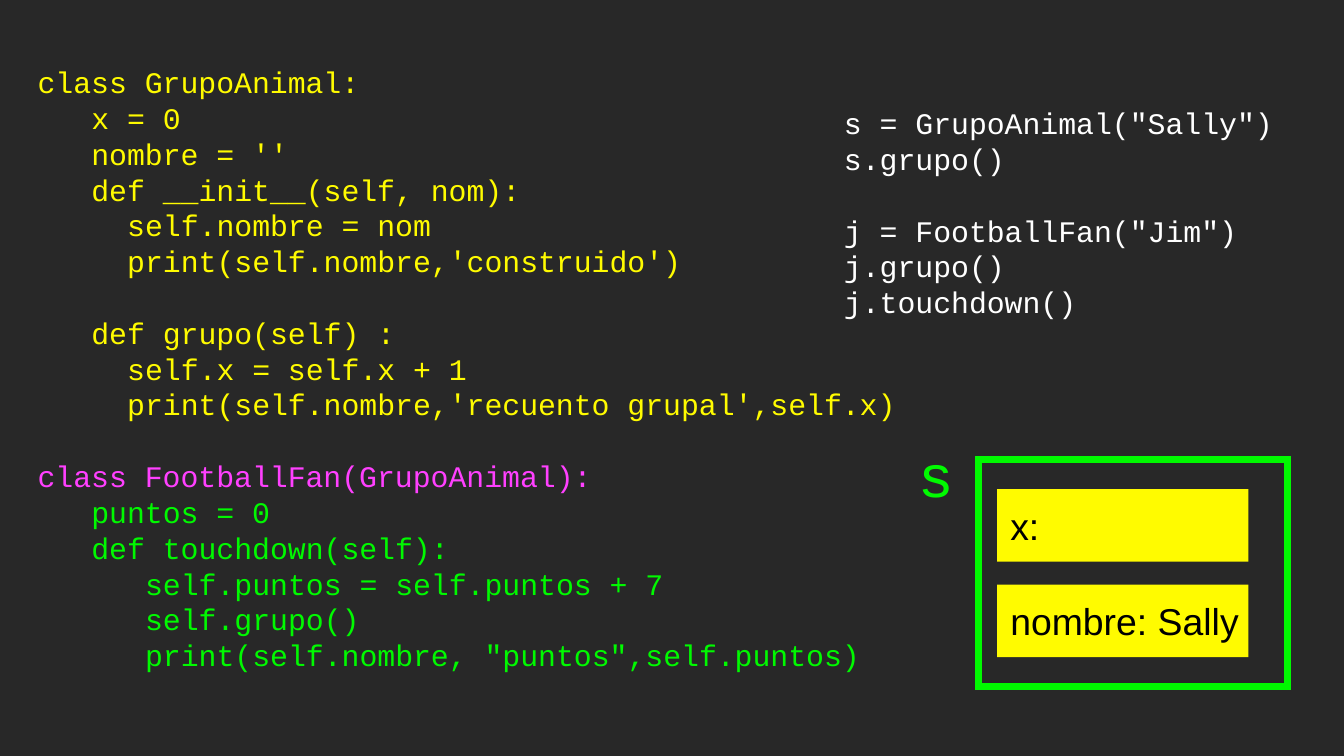
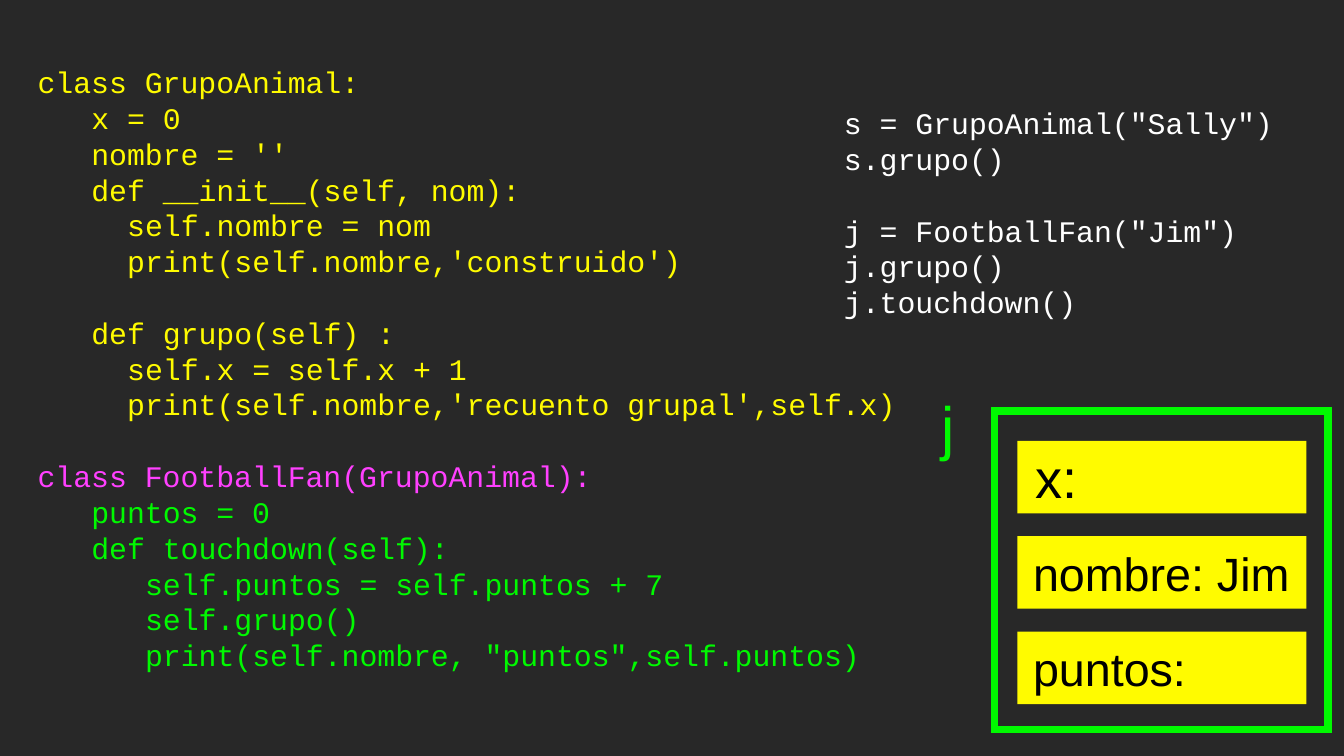
"""Build two slides that trace object construction with class inheritance."""
from lxml import etree
from pptx import Presentation, util as u
from pptx.dml.color import RGBColor
from pptx.enum import shapes, text
from pptx.oxml import ns

BACKGROUND, YELLOW, PINK, GREEN = "282828", "FFFB00", "FF40FF", "00F900"
LABEL_GREEN, WHITE, BLACK = "00FA00", "FFFFFF", "000000"
CODE_SIZE, LINE_HEIGHT = 16, 19.2
CHARACTER_WIDTH = CODE_SIZE * 0.6 / 72
SPACE_WIDTH = 0.278 / 72

BASE_CLASS = """class GrupoAnimal:
   x = 0
   nombre = ''
   def __init__(self, nom):
     self.nombre = nom
     print(self.nombre,'construido')

   def grupo(self) :
     self.x = self.x + 1
     print(self.nombre,'recuento grupal',self.x)
"""
SUBCLASS_HEADER = "class FootballFan(GrupoAnimal):"
SUBCLASS_BODY = """   puntos = 0
   def touchdown(self):
      self.puntos = self.puntos + 7
      self.grupo()
      print(self.nombre, "puntos",self.puntos)"""
CALLS = """s = GrupoAnimal("Sally")
s.grupo()

j = FootballFan("Jim")
j.grupo()
j.touchdown()"""

CODE_BOXES = [
    ((0.26, 0.17, 6.82, 5.14),
     [(BASE_CLASS, YELLOW), (SUBCLASS_HEADER, PINK), (SUBCLASS_BODY, GREEN)]),
    ((6.26, 0.66, 3.56, 1.84), [(CALLS, WHITE)]),
]
OBJECTS = [
    {"name": "s", "label": (6.76, 3.21), "frame": (7.28, 3.42, 2.3, 1.69),
     "field": (7.42, 3.64, 1.87), "fields": [("x:", 20), ("nombre: Sally", 20)]},
    {"name": "j", "label": (6.91, 2.85), "frame": (7.4, 3.06, 2.48, 2.37),
     "field": (7.57, 3.28, 2.15),
     "fields": [("x:", 29), ("nombre: Jim", 25), ("puntos:", 25)]},
]
FIELD_HEIGHT, FIELD_STEP = 0.54, 0.71


def color(value):
    return RGBColor.from_string(value)


def write(shape, lines, font, size, inset, anchor):
    frame = shape.text_frame
    margins = zip(("left", "top", "right", "bottom"), inset)
    settings = {f"margin_{side}": u.Inches(value) for side, value in margins}
    settings.update(word_wrap=True, vertical_anchor=anchor)
    for name, value in settings.items():
        setattr(frame, name, value)
    for index, (line, line_color) in enumerate(lines):
        paragraph = frame.add_paragraph() if index else frame.paragraphs[0]
        paragraph.alignment = text.PP_ALIGN.LEFT
        run = paragraph.add_run()
        run.text = line
        for name, value in {"name": font, "size": u.Pt(size)}.items():
            setattr(run.font, name, value)
        run.font.color.rgb = color(line_color)
    return frame.paragraphs


presentation = Presentation()
presentation.slide_width = u.Inches(10)
presentation.slide_height = presentation.slide_width * 9 // 16

for item in OBJECTS:
    slide = presentation.slides.add_slide(presentation.slide_layouts[6])
    slide.background.fill.solid()
    slide.background.fill.fore_color.rgb = color(BACKGROUND)

    for box, sections in CODE_BOXES:
        rows = [(row, row_color) for section, row_color in sections
                for row in section.split("\n")]
        lines = [(row.lstrip(), row_color) for row, row_color in rows if row]
        shape = slide.shapes.add_textbox(*map(u.Inches, box))
        paragraphs = iter(write(shape, lines, "Courier New", CODE_SIZE,
                                [0.02] * 4, text.MSO_ANCHOR.MIDDLE))
        gap = 0
        for row, row_color in rows:
            if not row:
                gap = LINE_HEIGHT
                continue
            paragraph = next(paragraphs)
            paragraph.line_spacing = u.Pt(LINE_HEIGHT)
            paragraph.space_before = u.Pt(gap)
            indent = u.Inches((len(row) - len(row.lstrip())) * CHARACTER_WIDTH)
            paragraph._p.get_or_add_pPr().set("marL", str(indent))
            gap = 0

    frame = slide.shapes.add_shape(shapes.MSO_SHAPE.RECTANGLE, *map(u.Inches, item["frame"]))
    frame.shadow.inherit = False
    frame.fill.background()
    frame.line.color.rgb = color(GREEN)
    frame.line.width = u.Pt(4)
    etree.SubElement(frame.line._get_or_add_ln(), ns.qn("a:miter"), lim="800000")

    left, top, width = item["field"]
    for index, (caption, size) in enumerate(item["fields"]):
        position = (left, top + index * FIELD_STEP, width, FIELD_HEIGHT)
        field = slide.shapes.add_shape(shapes.MSO_SHAPE.RECTANGLE, *map(u.Inches, position))
        field.shadow.inherit = False
        field.fill.solid()
        field.fill.fore_color.rgb = color(YELLOW)
        field.line.fill.background()
        inset = (0.02 + size * SPACE_WIDTH, 0.02, 0.02, 0.02)
        write(field, [(caption, BLACK)], "Arial", size, inset, text.MSO_ANCHOR.MIDDLE)

    label = slide.shapes.add_textbox(*map(u.Inches, (*item["label"], 0.38, 0.64)))
    write(label, [(item["name"], LABEL_GREEN)], "Arial", 32,
          (0.1, 0.05, 0.1, 0.05), text.MSO_ANCHOR.TOP)
    label.text_frame.auto_size = text.MSO_AUTO_SIZE.SHAPE_TO_FIT_TEXT

presentation.save("out.pptx")
